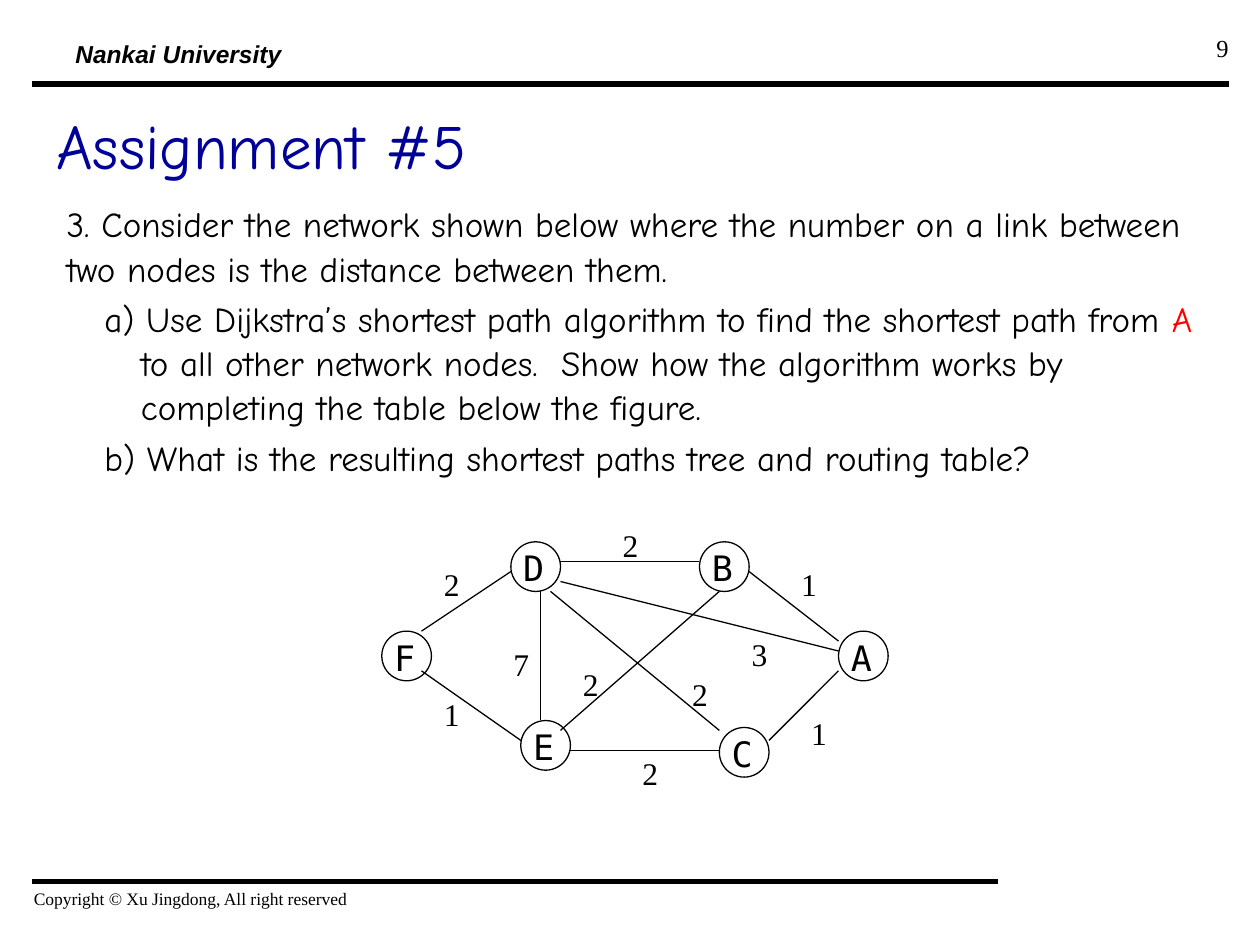
from lxml.etree import SubElement
from pptx import Presentation
from pptx.dml.color import RGBColor
from pptx.enum.shapes import MSO_CONNECTOR, MSO_SHAPE
from pptx.enum.text import MSO_ANCHOR, PP_ALIGN
from pptx.oxml.ns import qn
from pptx.util import Inches, Pt

BLACK = RGBColor(0x00, 0x00, 0x00)
NAVY = RGBColor(0x00, 0x00, 0x99)
RED = RGBColor(0xFF, 0x00, 0x00)
SERIF, HAND, MONO = "Times New Roman", "Comic Neue", "DejaVu Sans Mono"

prs = Presentation()
prs.slide_width, prs.slide_height = Inches(10), Inches(7.5)
W, H = prs.slide_width, prs.slide_height
s = prs.slides.add_slide(prs.slide_layouts[6])


def add_text(x, y, w, h, text, font, size, color=BLACK):
    tf = s.shapes.add_textbox(int(x), int(y), int(w), int(h)).text_frame
    tf.word_wrap = True
    p = tf.paragraphs[0]
    p.text = text
    p.font.name, p.font.size, p.font.color.rgb = font, Pt(size), color
    return tf


def add_line(x1, y1, x2, y2, width):
    line = s.shapes.add_connector(MSO_CONNECTOR.STRAIGHT, int(x1), int(y1), int(x2), int(y2))
    line.line.color.rgb, line.line.width = BLACK, Pt(width)
    SubElement(line._element.spPr, qn("a:effectLst"))


# Header and footer
add_line(0.975 * W, 0.089 * H, 0.025 * W, 0.089 * H, 3)
add_line(0.792 * W, 0.933 * H, 0.025 * W, 0.933 * H, 3)
p = add_text(0.05 * W, 0.043 * H, 0.22 * W, 0.036 * H,
             "Nankai University", "Arial", 14).paragraphs[0]
p.font.bold = p.font.italic = True
p.line_spacing = 0.7
add_text(0.017 * W, 0.933 * H, 0.383 * W, 0.044 * H,
         "Copyright © Xu Jingdong, All right reserved", SERIF, 10)
tf = add_text(0.752 * W, 0.028 * H, 0.233 * W, 0.07 * H, "9", SERIF, 14)
tf.paragraphs[0].alignment = PP_ALIGN.RIGHT

# Title
tf = add_text(0.035 * W, 0.089 * H, 0.89 * W, 0.128 * H, "Assignment #5", HAND, 36, NAVY)
tf.vertical_anchor = MSO_ANCHOR.MIDDLE

# Question and its two parts
tf = add_text(0.043 * W, 0.206 * H, 0.914 * W, 0.315 * H,
              "3. Consider the network shown below where the number on a link "
              "between two nodes is the distance between them.", HAND, 20)
parts = [
    [("a) Use Dijkstra’s shortest path algorithm to find the shortest path from ", BLACK),
     ("A", RED),
     (" to all other network nodes.  Show how the algorithm works by "
      "completing the table below the figure.", BLACK)],
    [("b) What is the resulting shortest paths tree and routing table?", BLACK)],
]
for runs in parts:
    p = tf.add_paragraph()
    p.level = 1
    p.font.name, p.font.size = HAND, Pt(20)
    pPr = p._p.get_or_add_pPr()
    pPr.set("marL", str(Inches(0.59)))
    pPr.set("indent", str(Inches(-0.29)))
    for text, color in runs:
        r = p.add_run()
        r.text, r.font.color.rgb = text, color
for p in tf.paragraphs:
    p.line_spacing, p.space_before = 1.05, Pt(3.7)

# Network grid: columns and rows of one small unit
UNIT = Inches(0.0788)
LEFT, TOP = Inches(3.03), Inches(4.3)

# Links: start column and row, end column and row
links = [
    (4, 9, 13, 3), (18, 2, 32, 2), (37, 3, 46, 10), (4, 13, 14, 20), (19, 21, 34, 21),
    (39, 20, 46, 13), (16, 5, 16, 18), (18, 4, 46, 11), (17, 5, 34, 19), (34, 5, 18, 19),
]
for c1, r1, c2, r2 in links:
    add_line(LEFT + c1 * UNIT, TOP + r1 * UNIT, LEFT + c2 * UNIT, TOP + r2 * UNIT, 0.75)

# Nodes
nodes = {"A": (46, 9), "B": (32, 0), "C": (34, 18.7), "D": (13, 0), "E": (14, 18), "F": (0, 9)}
for name, (col, row) in nodes.items():
    sp = s.shapes.add_shape(MSO_SHAPE.OVAL, int(LEFT + col * UNIT), int(TOP + row * UNIT),
                            5 * UNIT, 5 * UNIT)
    sp.shadow.inherit = False
    sp.fill.background()
    sp.line.color.rgb, sp.line.width = BLACK, Pt(0.75)
    tf = sp.text_frame
    tf.word_wrap = False
    tf.vertical_anchor = MSO_ANCHOR.MIDDLE
    tf.margin_left = tf.margin_bottom = 0
    tf.margin_right, tf.margin_top = Inches(0.03), Inches(0.02)
    p = tf.paragraphs[0]
    p.text, p.alignment = name, PP_ALIGN.CENTER
    p.font.name, p.font.size, p.font.color.rgb = MONO, Pt(20), BLACK

# Link distances
distances = [
    (5, 14, "1"), (25, 20, "2"), (30, 12, "2"), (36, 8, "3"), (41, 1, "1"),
    (42, 16, "1"), (19, 11, "2"), (12, 9, "7"), (5, 1, "2"), (23, -3, "2"),
]
for col, row, text in distances:
    tf = add_text(LEFT + col * UNIT, TOP + row * UNIT, 4 * UNIT, 5.8 * UNIT, text, SERIF, 18)
    tf.paragraphs[0].line_spacing = 1.2

prs.save("out.pptx")
